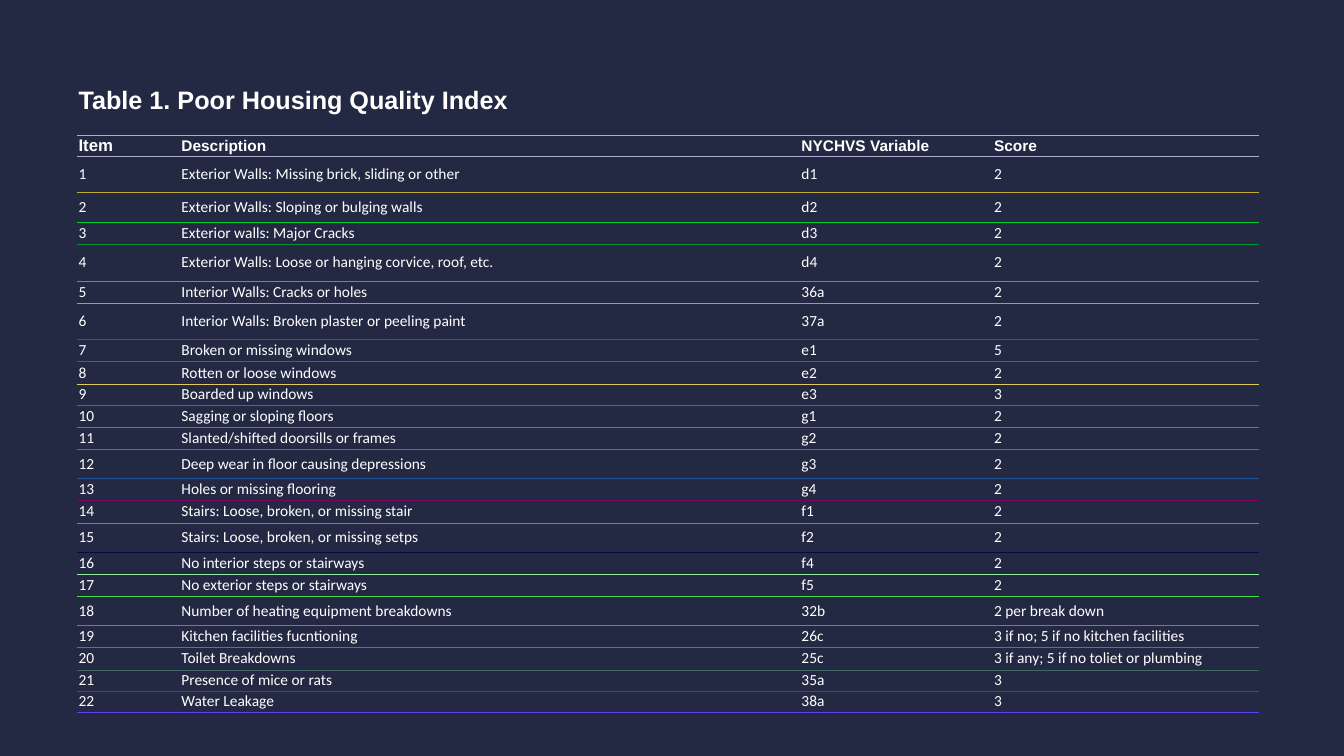
from dataclasses import dataclass

from lxml import etree
from pptx import Presentation, util as u
from pptx.dml.color import RGBColor
from pptx.enum import text
from pptx.oxml import ns


@dataclass(frozen=True)
class Theme:
    background: str = "242943"
    ink: str = "FFFFFF"
    rule: str = "B0ACCD"
    rule_width: float = 0.3
    heading_font: str = "Arial"
    body_font: str = "Calibri"
    title_size: int = 18
    item_size: int = 12
    body_size: int = 11


THEME = Theme()
PLAIN_STYLE = "{2D5ABB26-0587-4C30-8999-92F81FD0307C}"
TITLE = "Table 1. Poor Housing Quality Index"
HEADINGS = ("Item", "Description", "NYCHVS Variable", "Score")
COLUMN_WIDTHS = (1.02, 6.15, 1.91, 2.65)
TITLE_HEIGHT, HEADING_HEIGHT = 0.68, 0.21

# description, variable, score, row height, colour of the rule below
ITEMS = (
    ("Exterior Walls: Missing brick, sliding or other", "d1", "2", 0.36, "C0A82E"),
    ("Exterior Walls: Sloping or bulging walls", "d2", "2", 0.29, "00CD2E"),
    ("Exterior walls: Major Cracks", "d3", "2", 0.22, "00952F"),
    ("Exterior Walls: Loose or hanging corvice, roof, etc.", "d4", "2", 0.37, "40B32F"),
    ("Interior Walls: Cracks or holes", "36a", "2", 0.22, "00FD2D"),
    ("Interior Walls: Broken plaster or peeling paint", "37a", "2", 0.36, "80412E"),
    ("Broken or missing windows", "e1", "5", 0.22, "A03859"),
    ("Rotten or loose windows", "e2", "2", 0.22, "E0CA59"),
    ("Boarded up windows", "e3", "3", 0.21, "20885A"),
    ("Sagging or sloping floors", "g1", "2", 0.22, "F04041"),
    ("Slanted/shifted doorsills or frames", "g2", "2", 0.22, "B05941"),
    ("Deep wear in floor causing depressions", "g3", "2", 0.29, "205295"),
    ("Holes or missing flooring", "g4", "2", 0.22, "800363"),
    ("Stairs: Loose, broken, or missing stair", "f1", "2", 0.22, "40AA63"),
    ("Stairs: Loose, broken, or missing setps", "f2", "2", 0.29, "000C46"),
    ("No interior steps or stairways", "f4", "2", 0.22, "90ED9F"),
    ("No exterior steps or stairways", "f5", "2", 0.22, "40DB46"),
    ("Number of heating equipment breakdowns", "32b", "2 per break down", 0.29, "D0594A"),
    ("Kitchen facilities fucntioning", "26c", "3 if no; 5 if no kitchen facilities", 0.22, "606F95"),
    ("Toilet Breakdowns", "25c", "3 if any; 5 if no toliet or plumbing", 0.22, "406963"),
    ("Presence of mice or rats", "35a", "3", 0.2, "2043F0"),
    ("Water Leakage", "38a", "3", 0.2, "6041F0"),
)


def add_border(cell, side, colour):
    properties = cell._tc.get_or_add_tcPr()
    line = etree.SubElement(properties, ns.qn(f"a:{side}"), w=str(u.Pt(THEME.rule_width)))
    fill = etree.SubElement(line, ns.qn("a:solidFill"))
    etree.SubElement(fill, ns.qn("a:srgbClr"), val=colour)


def fill_cell(cell, words, size, above, below, heading=False):
    for side, colour in (("lnT", above), ("lnB", below)):
        if colour:
            add_border(cell, side, colour)
    cell.fill.solid()
    cell.fill.fore_color.rgb = RGBColor.from_string(THEME.background)
    cell.margin_left = cell.margin_right = u.Inches(0.02)
    cell.margin_top = cell.margin_bottom = u.Inches(0.01)
    cell.vertical_anchor = text.MSO_ANCHOR.MIDDLE
    cell.text = words
    font = cell.text_frame.paragraphs[0].font
    font.name = THEME.heading_font if heading else THEME.body_font
    font.size = u.Pt(size)
    font.bold = heading
    font.color.rgb = RGBColor.from_string(THEME.ink)


def add_plain_table(page, heights):
    frame = page.shapes.add_table(
        len(heights), len(COLUMN_WIDTHS), u.Inches(0.76), u.Inches(0.66),
        u.Inches(sum(COLUMN_WIDTHS)), u.Inches(sum(heights)))
    table = frame.table
    table.first_row = table.horz_banding = False
    table._tbl.tblPr.find(ns.qn("a:tableStyleId")).text = PLAIN_STYLE
    for column, width in zip(table.columns, COLUMN_WIDTHS):
        column.width = u.Inches(width)
    for row, height in zip(table.rows, heights):
        row.height = u.Inches(height)
    return table


def fill_headings(table):
    table.cell(0, 0).merge(table.cell(0, len(HEADINGS) - 1))
    for column, heading in enumerate(HEADINGS):
        fill_cell(table.cell(0, column), "" if column else TITLE,
                  THEME.title_size, None, THEME.rule, heading=True)
        size = THEME.body_size if column else THEME.item_size
        fill_cell(table.cell(1, column), heading, size,
                  THEME.rule, THEME.rule, heading=True)


def fill_items(table):
    above = THEME.rule
    for number, (description, variable, score, _, below) in enumerate(ITEMS, 1):
        for column, words in enumerate((str(number), description, variable, score)):
            fill_cell(table.cell(number + 1, column), words, THEME.body_size, above, below)
        above = below


def main():
    deck = Presentation()
    deck.slide_width, deck.slide_height = u.Inches(13.33), u.Inches(7.5)
    page = deck.slides.add_slide(deck.slide_layouts[6])
    page.background.fill.solid()
    page.background.fill.fore_color.rgb = RGBColor.from_string(THEME.background)
    heights = [TITLE_HEIGHT, HEADING_HEIGHT] + [item[3] for item in ITEMS]
    table = add_plain_table(page, heights)
    fill_headings(table)
    fill_items(table)
    deck.save("out.pptx")


if __name__ == "__main__":
    main()
